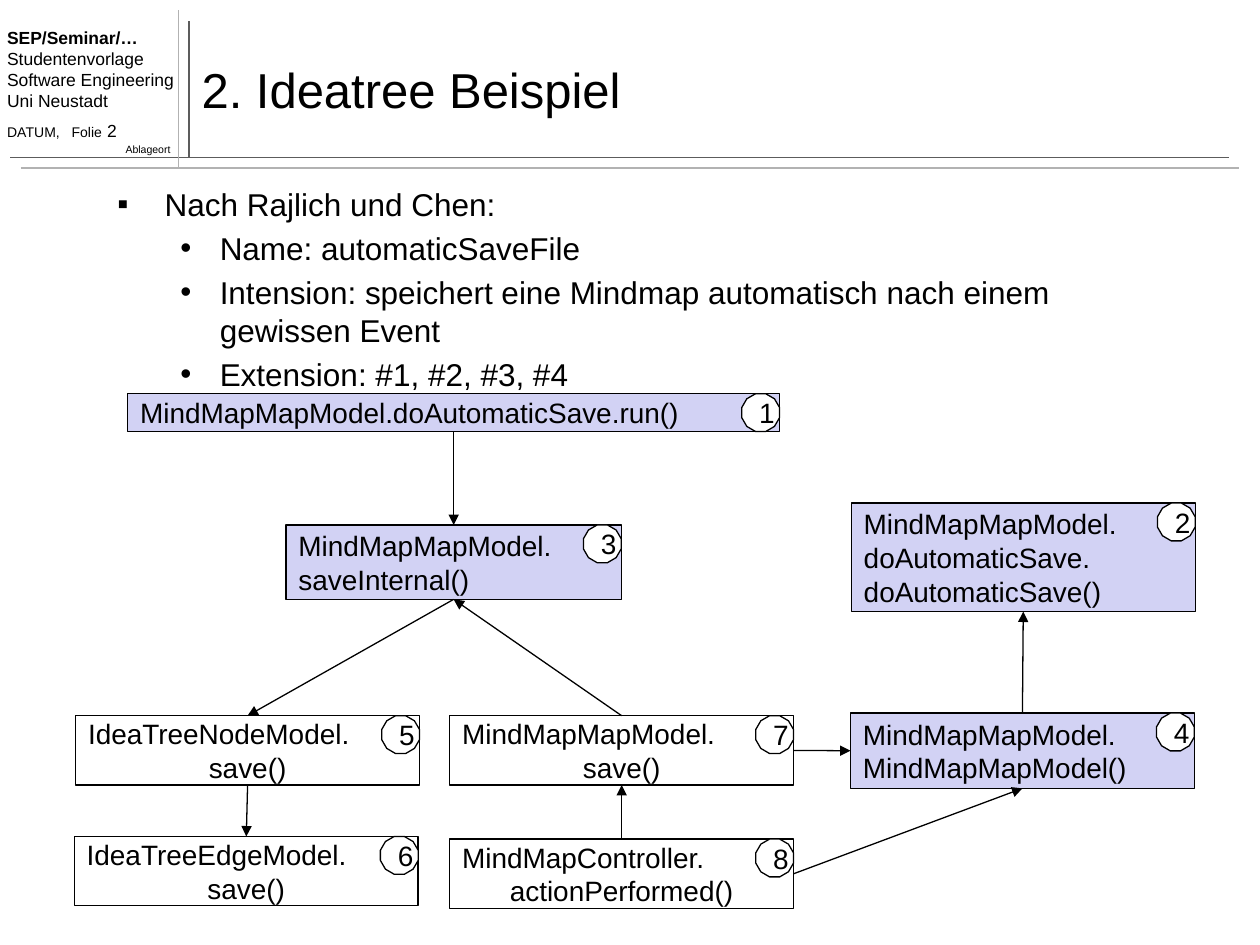
from lxml.etree import SubElement
from pptx import Presentation
from pptx.dml.color import RGBColor
from pptx.enum.shapes import MSO_CONNECTOR, MSO_SHAPE
from pptx.enum.text import MSO_ANCHOR, MSO_AUTO_SIZE, PP_ALIGN
from pptx.oxml.ns import qn
from pptx.util import Pt

BLACK, WHITE, LILAC = "000000", "FFFFFF", "D2D2F4"
DARK, LIGHT = "5C5C5C", "B2B2B2"
LEFT, CENTER, RIGHT = PP_ALIGN.LEFT, PP_ALIGN.CENTER, PP_ALIGN.RIGHT
TOP_SITE, LEFT_SITE, BOTTOM_SITE, RIGHT_SITE = range(4)
BADGE = 21.6


def color(hex_text):
    """Return a colour from its hex string."""
    return RGBColor.from_string(hex_text)


def style_run(r, size, bold=False):
    """Set the font of a run."""
    r.font.name, r.font.size, r.font.bold = "Arial", Pt(size), bold
    r.font.color.rgb = color(BLACK)


def write(tf, text, size=16, bold=False, align=LEFT, before=0):
    """Add a paragraph of formatted text, filling the first one if it is empty."""
    p = tf.paragraphs[0] if not tf.text else tf.add_paragraph()
    p.text = text
    p.alignment, p.space_before = align, Pt(before)
    for r in p.runs:
        style_run(r, size, bold)
    return p


def set_bullet(p, char, margin, indent):
    """Give a paragraph a hanging bullet."""
    pPr = p._p.get_or_add_pPr()
    pPr.set("marL", str(Pt(margin)))
    pPr.set("indent", str(Pt(-indent)))
    SubElement(pPr, qn("a:buFont"), typeface="Arial")
    SubElement(pPr, qn("a:buChar"), char=char)


def add_text_box(s, x, y, w, h, wrap=True):
    """Add a text box and return its text frame."""
    tf = s.shapes.add_textbox(Pt(x), Pt(y), Pt(w), Pt(h)).text_frame
    tf.word_wrap = wrap
    return tf


def add_line(s, x1, y1, x2, y2, line=BLACK, width=0.75):
    """Add a straight line without a shadow."""
    cxn = s.shapes.add_connector(MSO_CONNECTOR.STRAIGHT, Pt(x1), Pt(y1), Pt(x2), Pt(y2))
    cxn.line.color.rgb, cxn.line.width = color(line), Pt(width)
    SubElement(cxn._element.spPr, qn("a:effectLst"))
    return cxn


def add_arrow(s, start, start_site, end, end_site):
    """Join two shapes with an arrow between their connection sites."""
    cxn = add_line(s, 0, 0, 0, 0)
    cxn.begin_connect(start, start_site)
    cxn.end_connect(end, end_site)
    SubElement(cxn.line._get_or_add_ln(), qn("a:tailEnd"), type="triangle")


def add_outlined(s, kind, x, y, w, h, fill):
    """Add a filled shape with a thin black outline."""
    sp = s.shapes.add_shape(kind, Pt(x), Pt(y), Pt(w), Pt(h))
    sp.shadow.inherit = False
    sp.fill.solid()
    sp.fill.fore_color.rgb = color(fill)
    sp.line.color.rgb, sp.line.width = color(BLACK), Pt(0.75)
    sp.text_frame.vertical_anchor = MSO_ANCHOR.MIDDLE
    sp.text_frame.word_wrap = True
    return sp


def add_method(s, x, y, w, h, number, lines, fill, last=LEFT):
    """Add a method box with its numbered badge in the top right corner."""
    sp = add_outlined(s, MSO_SHAPE.RECTANGLE, x, y, w, h, fill)
    for i, line in enumerate(lines):
        write(sp.text_frame, line, align=last if i and i == len(lines) - 1 else LEFT)
    badge = add_outlined(s, MSO_SHAPE.DODECAGON, x + w - BADGE, y, BADGE, BADGE, WHITE)
    write(badge.text_frame, str(number), align=CENTER)
    return sp


def add_header(s, x, y, w, h):
    """Add the crossing rules, the course details and the title."""
    add_line(s, x + 108, y + 90, x + 108, y + 12, DARK, 1)
    add_line(s, x + 6, y + 90, x + w - 18, y + 90, DARK, 1)
    add_line(s, x + 12, y + h, x + w - 12, y + h, LIGHT, 1)
    add_line(s, x + 102, y + h, x + 102, y + 6, LIGHT, 1)

    tf = add_text_box(s, x - 3, y + 12, 111, 74)
    write(tf, "SEP/Seminar/…", 10, bold=True)
    write(tf, "Studentenvorlage\vSoftware Engineering", 10)
    write(tf, "Uni Neustadt", 10)
    r = write(tf, "DATUM,   Folie", 8, before=5).add_run()
    r.text = " 2"
    style_run(r, 10)
    write(add_text_box(s, x + 64, y + 78, 40.5, 14.4, wrap=False), "Ablageort", 6, align=RIGHT)

    title = s.shapes.title
    title.left, title.top = Pt(x + 108), Pt(y + 18)
    title.width, title.height = Pt(w - 120), Pt(66)
    tf = title.text_frame
    tf.auto_size, tf.vertical_anchor = MSO_AUTO_SIZE.NONE, MSO_ANCHOR.MIDDLE
    write(tf, "2. Ideatree Beispiel", 28)


def add_concept(s, x, y, w, h):
    """Add the bulleted description of the concept."""
    tf = add_text_box(s, x, y, w, h)
    p = write(tf, "Nach Rajlich und Chen:", 18, before=3.6)
    set_bullet(p, "▪", 27, 27)
    for text in ("Name: automaticSaveFile",
                 "Intension: speichert eine Mindmap automatisch nach einem\vgewissen Event",
                 "Extension: #1, #2, #3, #4"):
        p = write(tf, text, 18, before=3.6)
        p.level = 1
        set_bullet(p, "•", 58.5, 22.5)


def add_call_graph(s, x, y):
    """Add the method boxes and the calls between them."""
    w, h = 196.5, 39.6
    model = "MindMapMapModel."
    methods = {
        8: (214.5, 254.5, w, h, ("MindMapController.", "actionPerformed()"), WHITE, CENTER),
        7: (214.5, 184, w, h, (model, "save()"), WHITE, CENTER),
        6: (0, 253, w, h, ("IdeaTreeEdgeModel.", "save()"), WHITE, CENTER),
        5: (0.75, 184, w, h, ("IdeaTreeNodeModel.", "save()"), WHITE, CENTER),
        4: (443.5, 182.5, w, 43, (model, "MindMapMapModel()"), LILAC, LEFT),
        3: (121, 75, 191.5, 42.5, (model, "saveInternal()"), LILAC, LEFT),
        2: (444, 62.5, w, 62, (model, "doAutomaticSave.", "doAutomaticSave()"), LILAC, LEFT),
        1: (30.5, 0, 372.5, 21.6, (model + "doAutomaticSave.run()",), LILAC, LEFT),
    }
    boxes = {n: add_method(s, x + dx, y + dy, bw, bh, n, lines, fill, last)
             for n, (dx, dy, bw, bh, lines, fill, last) in methods.items()}
    calls = (
        (5, BOTTOM_SITE, 6, TOP_SITE), (8, TOP_SITE, 7, BOTTOM_SITE),
        (8, RIGHT_SITE, 4, BOTTOM_SITE), (7, RIGHT_SITE, 4, LEFT_SITE),
        (7, TOP_SITE, 3, BOTTOM_SITE), (4, TOP_SITE, 2, BOTTOM_SITE),
        (3, BOTTOM_SITE, 5, TOP_SITE), (1, BOTTOM_SITE, 3, TOP_SITE),
    )
    for caller, out_site, callee, in_site in calls:
        add_arrow(s, boxes[caller], out_site, boxes[callee], in_site)


def main():
    """Build and save the slide."""
    prs = Presentation()
    prs.slide_width, prs.slide_height = Pt(720), Pt(540)
    s = prs.slides.add_slide(prs.slide_layouts[5])
    add_header(s, 0, 0, 720, 96)
    add_concept(s, 60, 102, 648, 176)
    add_call_graph(s, 42.5, 225)
    prs.save("out.pptx")


main()
